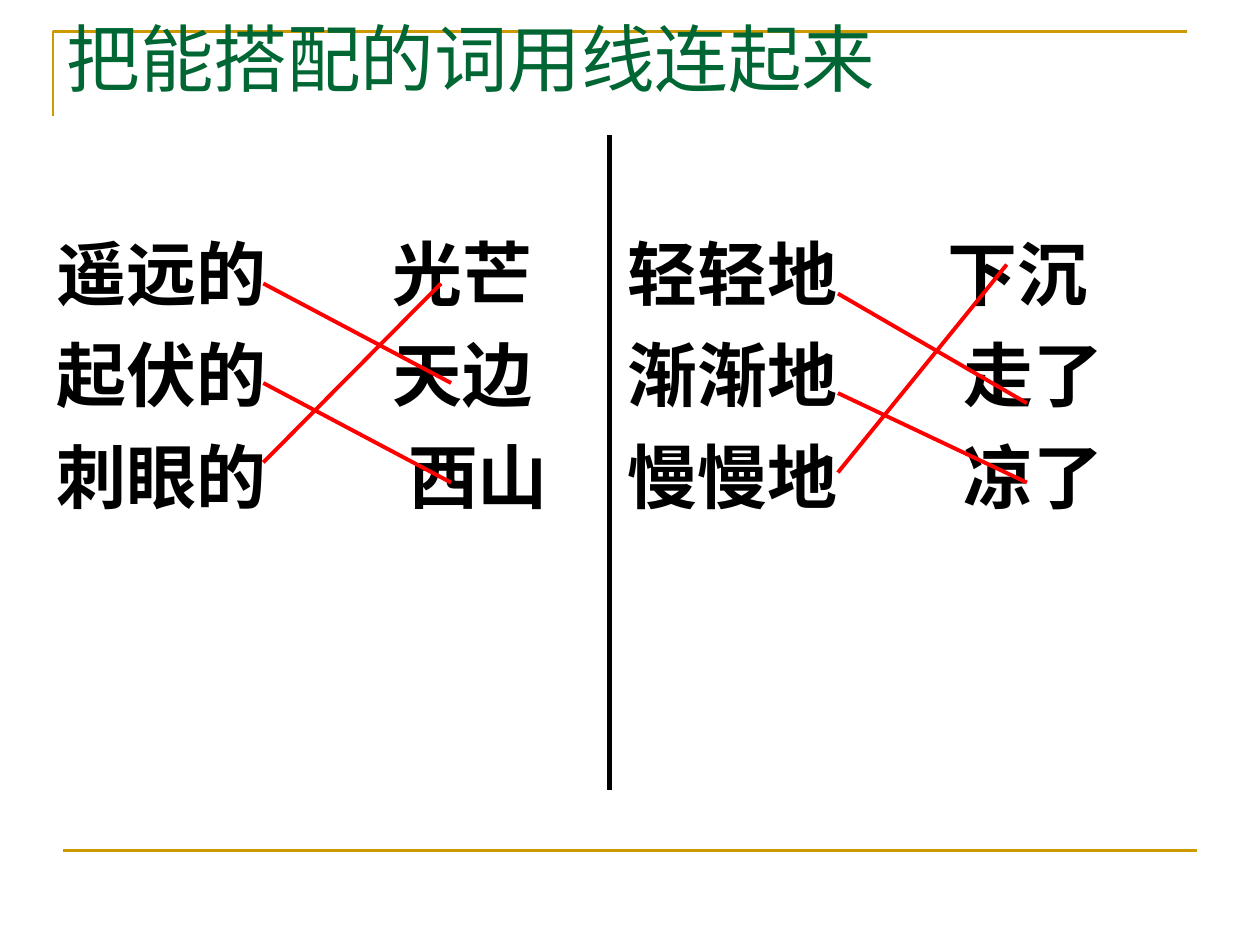
from dataclasses import dataclass

from lxml import etree
from pptx import Presentation
from pptx.dml.color import RGBColor
from pptx.enum.shapes import MSO_CONNECTOR
from pptx.enum.text import MSO_ANCHOR
from pptx.oxml.ns import qn
from pptx.util import Inches, Pt

STRAIGHT = MSO_CONNECTOR.STRAIGHT
TOP, BOTTOM = MSO_ANCHOR.TOP, MSO_ANCHOR.BOTTOM
WIDTH, HEIGHT = 10, 7.5
Point = tuple[float, float]


@dataclass(frozen=True)
class Theme:
    gold: str = "CC9900"
    green: str = "006633"
    black: str = "000000"
    red: str = "FF0000"
    title_font: str = "Times New Roman"
    word_font: str = "Arial"
    title_size: float = 42
    word_size: float = 40
    word_gap: float = 10
    frame_line: float = 1.5
    divider_line: float = 3
    match_line: float = 2.25


@dataclass(frozen=True)
class Pair:
    modifier: str
    word: str
    tab: float


@dataclass(frozen=True)
class Exercise:
    left: float
    pairs: tuple[Pair, ...]
    matches: tuple[tuple[Point, Point], ...]


THEME = Theme()
EXERCISES = (
    Exercise(
        0.35,
        (Pair("遥远的", "光芒", 2.67), Pair("起伏的", "天边", 2.67),
         Pair("刺眼的", "西山", 2.79)),
        (((2.09, 2.25), (3.58, 3.04)), ((2.09, 3.04), (3.58, 3.83)),
         ((2.09, 3.67), (3.5, 2.25))),
    ),
    Exercise(
        4.88,
        (Pair("轻轻地", "下沉", 2.54), Pair("渐渐地", "走了", 2.67),
         Pair("慢慢地", "凉了", 2.67)),
        (((6.65, 2.33), (8.15, 3.2)), ((6.65, 3.12), (8.15, 3.83)),
         ((6.65, 3.75), (7.99, 2.1))),
    ),
)


def add_line(slide, start: Point, end: Point, color: str, width: float) -> None:
    line = slide.shapes.add_connector(STRAIGHT, *map(Inches, start + end))
    line.line.color.rgb = RGBColor.from_string(color)
    line.line.width = Pt(width)
    etree.SubElement(line._element.spPr, qn("a:effectLst"))


def add_corner(slide) -> None:
    """Draw the open gold corner around the title."""
    left, top, right, bottom = 0.42, 0.25, 9.42, 0.92
    builder = slide.shapes.build_freeform(Inches(left), Inches(bottom))
    builder.add_line_segments(
        [(Inches(left), Inches(top)), (Inches(right), Inches(top))], close=False)
    corner = builder.convert_to_shape()
    corner.shadow.inherit = False
    corner.fill.background()
    corner.line.color.rgb = RGBColor.from_string(THEME.gold)
    corner.line.width = Pt(THEME.frame_line)


def add_tab(paragraph, position: float) -> None:
    tabs = etree.SubElement(paragraph._p.get_or_add_pPr(), qn("a:tabLst"))
    etree.SubElement(tabs, qn("a:tab"), pos=str(Inches(position)), algn="l")


def add_text(slide, lines: list[str], *, left: float, top: float, width: float,
             height: float, font: str, size: float, color: str,
             bold: bool = False, anchor=TOP, gap: float = 0,
             tabs: tuple[float, ...] = ()) -> None:
    frame = slide.shapes.add_textbox(
        *map(Inches, (left, top, width, height))).text_frame
    frame.word_wrap = True
    frame.vertical_anchor = anchor
    for row, line in enumerate(lines):
        paragraph = frame.add_paragraph() if row else frame.paragraphs[0]
        if tabs:
            add_tab(paragraph, tabs[row])
        if row:
            paragraph.space_before = Pt(gap)
        run = paragraph.add_run()
        run.text = line
        run.font.name = font
        run.font.size = Pt(size)
        run.font.bold = bold
        run.font.color.rgb = RGBColor.from_string(color)


def add_exercise(slide, exercise: Exercise) -> None:
    add_text(slide, [f"{pair.modifier}\t{pair.word}" for pair in exercise.pairs],
             left=exercise.left, top=1.78, width=5.12, height=3.86,
             font=THEME.word_font, size=THEME.word_size, color=THEME.black,
             bold=True, gap=THEME.word_gap,
             tabs=tuple(pair.tab for pair in exercise.pairs))


def main() -> None:
    deck = Presentation()
    deck.slide_width, deck.slide_height = Inches(WIDTH), Inches(HEIGHT)
    slide = deck.slides.add_slide(deck.slide_layouts[6])

    add_corner(slide)
    add_line(slide, (0.05 * WIDTH, 0.9 * HEIGHT), (0.95 * WIDTH, 0.9 * HEIGHT),
             THEME.gold, THEME.frame_line)
    add_text(slide, ["把能搭配的词用线连起来"], left=0.43, top=0, width=9,
             height=0.85, font=THEME.title_font, size=THEME.title_size,
             color=THEME.green, anchor=BOTTOM)
    for exercise in EXERCISES:
        add_exercise(slide, exercise)
    add_line(slide, (4.84, 1.07), (4.84, 6.27), THEME.black, THEME.divider_line)
    for exercise in EXERCISES:
        for start, end in exercise.matches:
            add_line(slide, start, end, THEME.red, THEME.match_line)

    deck.save("out.pptx")


if __name__ == "__main__":
    main()
